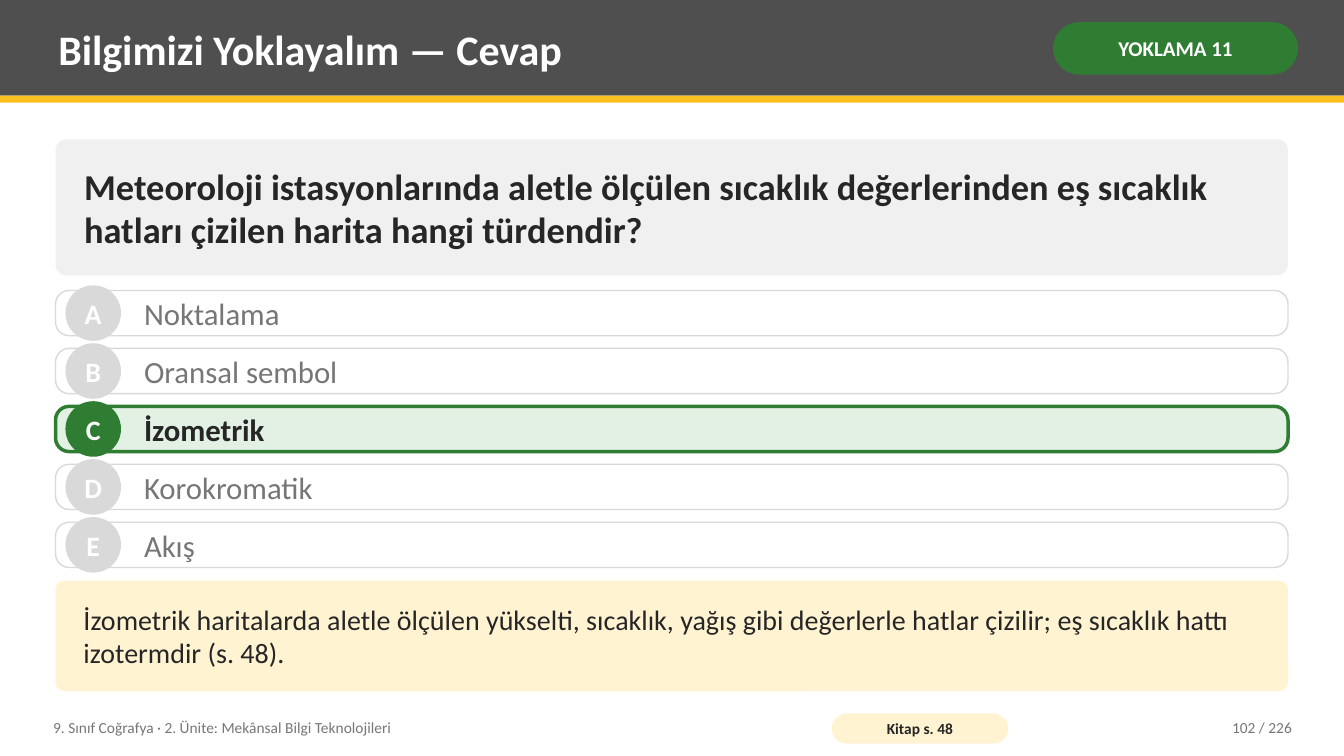
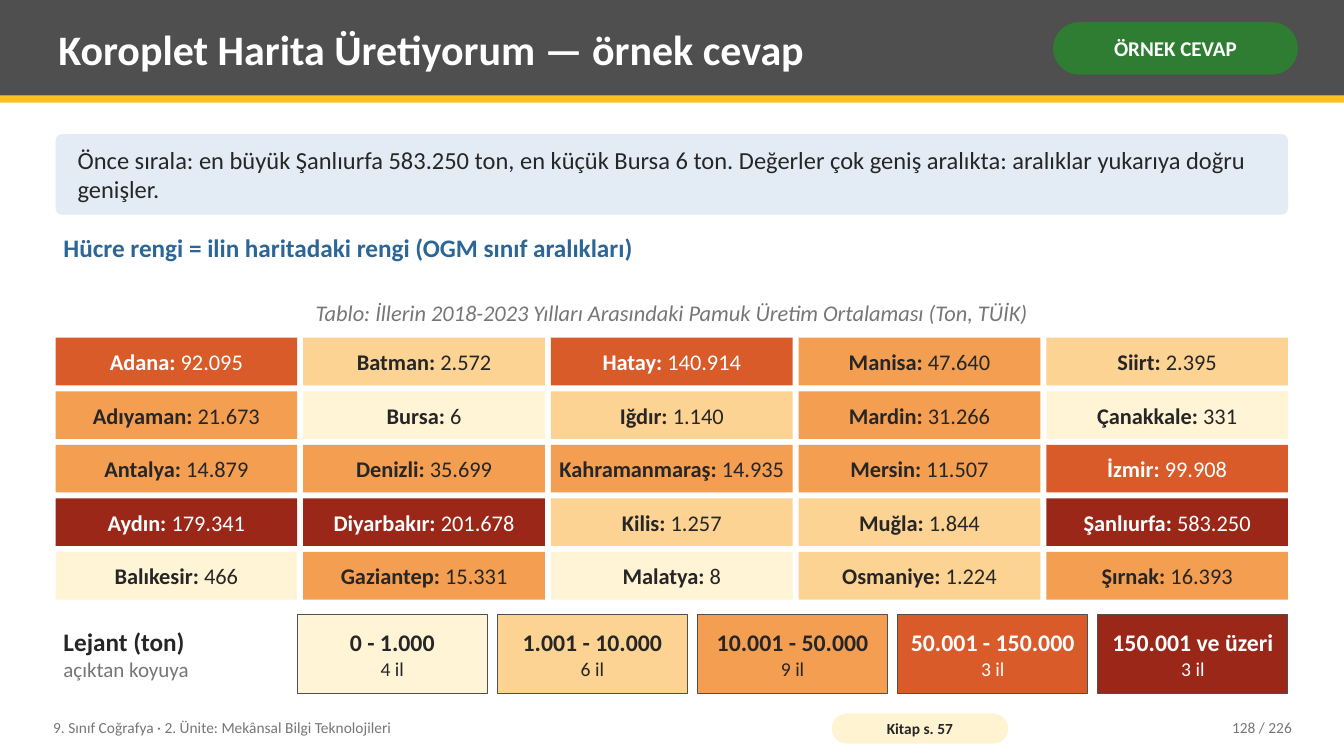
"""Builds two geography lesson slides: a quiz answer and a choropleth class table."""
from pptx import Presentation
from pptx.dml.color import RGBColor
from pptx.enum.shapes import MSO_SHAPE as Shape
from pptx.enum.text import MSO_ANCHOR as Anchor, PP_ALIGN as Align
from pptx.util import Cm, Pt

WHITE = RGBColor(0xFF, 0xFF, 0xFF)
INK = RGBColor(0x26, 0x26, 0x26)
MUTED = RGBColor(0x76, 0x76, 0x76)
CHARCOAL = RGBColor(0x4F, 0x4F, 0x4F)
AMBER = RGBColor(0xFC, 0xC0, 0x21)
CREAM = RGBColor(0xFF, 0xF3, 0xD1)
GREEN = RGBColor(0x2E, 0x7D, 0x32)
PALE_GREEN = RGBColor(0xE3, 0xF1, 0xE4)
BLUE = RGBColor(0x2C, 0x66, 0x96)
PALE_BLUE = RGBColor(0xE3, 0xEC, 0xF5)
PALE_GREY = RGBColor(0xF0, 0xF0, 0xF0)
GREY = RGBColor(0xD9, 0xD9, 0xD9)
CLASS_1 = RGBColor(0xFF, 0xF4, 0xD6)
CLASS_2 = RGBColor(0xFC, 0xD3, 0x92)
CLASS_3 = RGBColor(0xF4, 0x9E, 0x52)
CLASS_4 = RGBColor(0xD9, 0x5B, 0x2A)
CLASS_5 = RGBColor(0x9B, 0x27, 0x18)

FONT = "Calibri"
PAGE_WIDTH, PAGE_HEIGHT = 33.87, 19.05
LEFT, WIDTH = 1.4, 31.06
TEXT_INSETS = (0.2, 0.1)
TILE_INSETS = (0.1, 0)

UNIT = "9. Sınıf Coğrafya · 2. Ünite: Mekânsal Bilgi Teknolojileri"
PAGE_TOTAL = 226

QUIZ = {
    "title": "Bilgimizi Yoklayalım — Cevap",
    "badge": "YOKLAMA 11",
    "book_page": 48,
    "page": 102,
    "question": "Meteoroloji istasyonlarında aletle ölçülen sıcaklık değerlerinden "
                "eş sıcaklık hatları çizilen harita hangi türdendir?",
    "options": ["Noktalama", "Oransal sembol", "İzometrik", "Korokromatik", "Akış"],
    "answer": "İzometrik",
    "explanation": "İzometrik haritalarda aletle ölçülen yükselti, sıcaklık, yağış gibi "
                   "değerlerle hatlar çizilir; eş sıcaklık hattı izotermdir (s. 48).",
}

COTTON = {
    "title": "Koroplet Harita Üretiyorum — örnek cevap",
    "badge": "ÖRNEK CEVAP",
    "book_page": 57,
    "page": 128,
    "note": "Önce sırala: en büyük Şanlıurfa 583.250 ton, en küçük Bursa 6 ton. "
            "Değerler çok geniş aralıkta: aralıklar yukarıya doğru genişler.",
    "heading": "Hücre rengi = ilin haritadaki rengi (OGM sınıf aralıkları)",
    "caption": "Tablo: İllerin 2018-2023 Yılları Arasındaki Pamuk Üretim Ortalaması "
               "(Ton, TÜİK)",
    "legend": ("Lejant (ton)", "açıktan koyuya"),
}

PROVINCES = [
    ("Adana", 92095), ("Adıyaman", 21673), ("Antalya", 14879),
    ("Aydın", 179341), ("Balıkesir", 466),
    ("Batman", 2572), ("Bursa", 6), ("Denizli", 35699),
    ("Diyarbakır", 201678), ("Gaziantep", 15331),
    ("Hatay", 140914), ("Iğdır", 1140), ("Kahramanmaraş", 14935),
    ("Kilis", 1257), ("Malatya", 8),
    ("Manisa", 47640), ("Mardin", 31266), ("Mersin", 11507),
    ("Muğla", 1844), ("Osmaniye", 1224),
    ("Siirt", 2395), ("Çanakkale", 331), ("İzmir", 99908),
    ("Şanlıurfa", 583250), ("Şırnak", 16393),
]
GRID_SIDE = 5

CLASSES = [
    ("0 - 1.000", 1000, CLASS_1, INK),
    ("1.001 - 10.000", 10000, CLASS_2, INK),
    ("10.001 - 50.000", 50000, CLASS_3, INK),
    ("50.001 - 150.000", 150000, CLASS_4, WHITE),
    ("150.001 ve üzeri", float("inf"), CLASS_5, WHITE),
]


def style(size, color, **extra):
    return {"name": FONT, "size": Pt(size), "color": color, **extra}


def write(frame, paragraphs, insets, align, wrap):
    across, down = (Cm(inset) for inset in insets)
    settings = {"word_wrap": wrap, "vertical_anchor": Anchor.MIDDLE,
                "margin_left": across, "margin_right": across,
                "margin_top": down, "margin_bottom": down}
    for key, value in settings.items():
        setattr(frame, key, value)
    for number, runs in enumerate(paragraphs):
        paragraph = frame.add_paragraph() if number else frame.paragraphs[0]
        paragraph.alignment = align
        for text, look in runs:
            run = paragraph.add_run()
            run.text = text
            for key, value in look.items():
                if key == "color":
                    run.font.color.rgb = value
                else:
                    setattr(run.font, key, value)


def add_text(slide, at, *paragraphs, align=Align.LEFT):
    label = slide.shapes.add_textbox(*map(Cm, at))
    write(label.text_frame, paragraphs, TEXT_INSETS, align, True)


def add_panel(slide, at, fill, *paragraphs, kind=Shape.RECTANGLE, corner=None, line=None,
              insets=TILE_INSETS, align=Align.CENTER, wrap=True):
    panel = slide.shapes.add_shape(kind if corner is None else Shape.ROUNDED_RECTANGLE,
                                   *map(Cm, at))
    panel.shadow.inherit = False
    panel.fill.solid()
    panel.fill.fore_color.rgb = fill
    if corner is not None:
        panel.adjustments[0] = corner
    if line:
        color, weight = line
        panel.line.color.rgb = color
        panel.line.width = Pt(weight)
    else:
        panel.line.fill.background()
    if paragraphs:
        write(panel.text_frame, paragraphs, insets, align, wrap)


def add_lesson_slide(deck, lesson):
    slide = deck.slides.add_slide(deck.slide_layouts[6])
    add_panel(slide, (0, 0, PAGE_WIDTH, 2.41), CHARCOAL)
    add_panel(slide, (0, 2.41, PAGE_WIDTH, 0.18), AMBER)
    add_text(slide, (1.27, 0.18, 24.77, 2.08),
             [(lesson["title"], style(30, WHITE, bold=True))])
    add_panel(slide, (26.54, 0.56, 6.17, 1.32), GREEN,
              [(lesson["badge"], style(15, WHITE, bold=True))],
              corner=0.5, insets=(0.13, 0.05))
    small = style(11, MUTED)
    add_text(slide, (1.14, 17.88, 19.3, 0.91), [(UNIT, small)])
    add_panel(slide, (20.96, 17.98, 4.45, 0.76), CREAM,
              [(f"Kitap s. {lesson['book_page']}", style(11, INK, bold=True))], corner=0.5)
    add_text(slide, (28.7, 17.88, 4.06, 0.91),
             [(f"{lesson['page']} / {PAGE_TOTAL}", small)], align=Align.RIGHT)
    return slide


def add_note(slide, top, height, fill, text, look, insets):
    add_panel(slide, (LEFT, top, WIDTH, height), fill, [(text, look)],
              corner=0.08, insets=insets, align=Align.LEFT)


def build_quiz(deck):
    slide = add_lesson_slide(deck, QUIZ)
    add_note(slide, 3.51, 3.43, PALE_GREY, QUIZ["question"],
             style(26, INK, bold=True), (0.64, 0.2))
    first_top, pitch, height, bubble = 7.32, 1.46, 1.14, 1.4
    for row, (letter, option) in enumerate(zip("ABCDE", QUIZ["options"])):
        top = first_top + row * pitch
        correct = option == QUIZ["answer"]
        accent = GREEN if correct else GREY
        add_panel(slide, (LEFT, top, WIDTH, height), PALE_GREEN if correct else WHITE,
                  corner=0.3, line=(accent, 2.5 if correct else 1))
        add_panel(slide, (1.65, top + (height - bubble) / 2, bubble, bubble), accent,
                  [(letter, style(20, WHITE, bold=True))],
                  kind=Shape.OVAL, insets=(0, 0), wrap=False)
        add_text(slide, (3.43, top, 28.52, height),
                 [(option, style(22, INK if correct else MUTED, bold=correct))])
    add_note(slide, 14.63, 2.79, CREAM, QUIZ["explanation"], style(20, INK), (0.64, 0.2))


def class_of(tons):
    return next(i for i, (_, limit, _, _) in enumerate(CLASSES) if tons <= limit)


def build_cotton(deck):
    slide = add_lesson_slide(deck, COTTON)
    add_note(slide, 3.38, 2.03, PALE_BLUE, COTTON["note"], style(17.5, INK), (0.51, 0.2))
    add_text(slide, (LEFT, 5.59, WIDTH, 1.27),
             [(COTTON["heading"], style(18, BLUE, bold=True))])
    add_text(slide, (LEFT, 7.37, WIDTH, 1.02),
             [(COTTON["caption"], style(16, MUTED, italic=True))], align=Align.CENTER)

    grid_top, gap, height = 8.51, 0.15, 1.2
    width = (WIDTH - (GRID_SIDE - 1) * gap) / GRID_SIDE
    for place, (province, tons) in enumerate(PROVINCES):
        column, row = divmod(place, GRID_SIDE)
        _, _, fill, ink = CLASSES[class_of(tons)]
        amount = f"{tons:,}".replace(",", ".")
        add_panel(slide, (LEFT + column * (width + gap), grid_top + row * (height + gap),
                          width, height), fill,
                  [(f"{province}:", style(16, ink, bold=True)),
                   (f" {amount}", style(16, ink))])

    legend_left, legend_top, legend_height, legend_gap = 7.49, 15.49, 1.98, 0.25
    name, hint = COTTON["legend"]
    add_text(slide, (LEFT, legend_top, 5.84, legend_height),
             [(name, style(18, INK, bold=True))], [(hint, style(15, MUTED))])
    count = len(CLASSES)
    key_width = (LEFT + WIDTH - legend_left - (count - 1) * legend_gap) / count
    members = [class_of(tons) for _, tons in PROVINCES]
    for index, (span, _, fill, ink) in enumerate(CLASSES):
        add_panel(slide, (legend_left + index * (key_width + legend_gap), legend_top,
                          key_width, legend_height), fill,
                  [(span, style(17, ink, bold=True))],
                  [(f"{members.count(index)} il", style(14, ink))],
                  line=(CHARCOAL, 0.75), insets=(0.1, 0.05))


def main():
    deck = Presentation()
    deck.slide_width, deck.slide_height = Cm(PAGE_WIDTH), Cm(PAGE_HEIGHT)
    build_quiz(deck)
    build_cotton(deck)
    deck.save("out.pptx")


if __name__ == "__main__":
    main()
